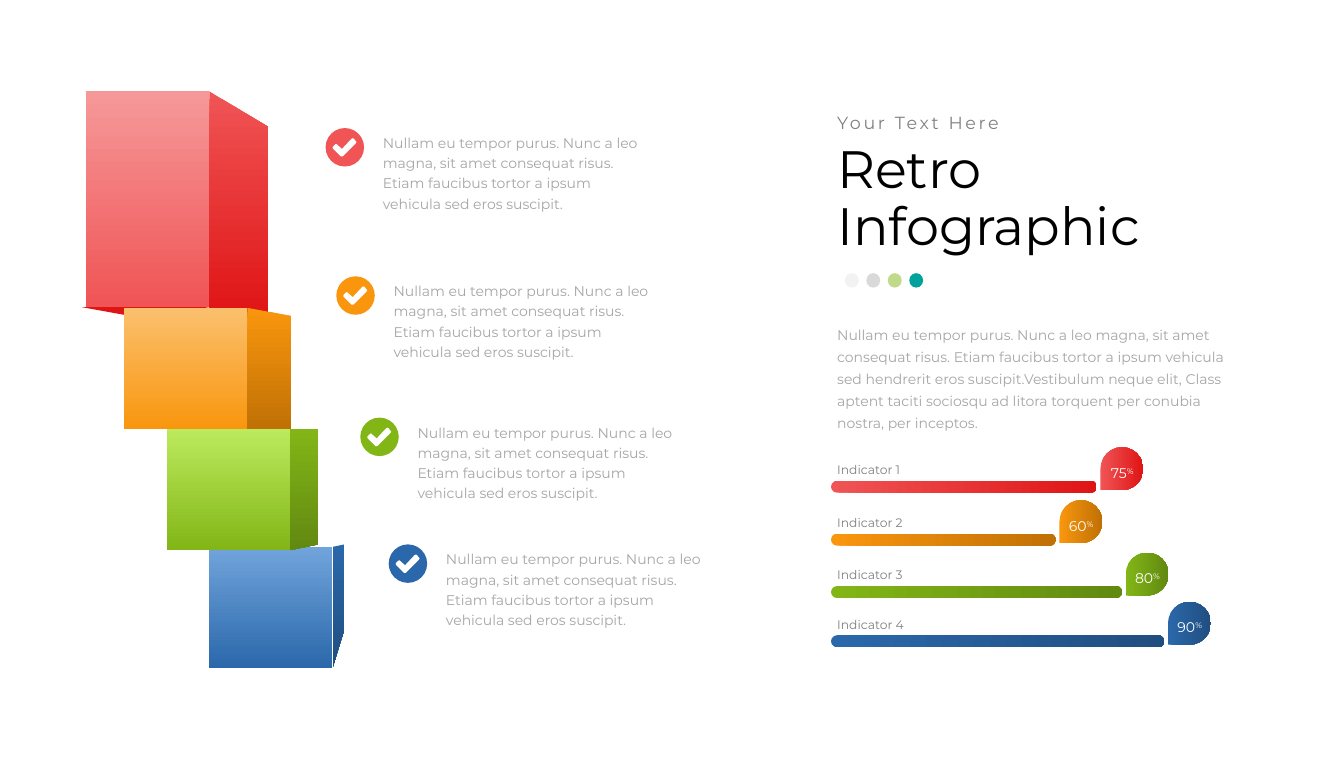
from lxml import etree
from pptx import Presentation, util as u
from pptx.dml.color import RGBColor
from pptx.enum import shapes, text
from pptx.oxml.ns import qn

COLOURS = {
    "red light": "F69899", "red": "F05455", "red dark": "DF1415",
    "orange light": "FBC06E", "orange": "F9960E", "orange dark": "C07105",
    "green light": "BCEA5D", "green": "82B617", "green dark": "628911",
    "blue light": "71A4DB", "blue": "2B68AB", "blue dark": "204E80",
    "teal": "00A39B", "pale grey": "F2F2F2", "light grey": "D9D9D9",
    "body grey": "A6A6A6", "label grey": "808080",
    "black": "000000", "white": "FFFFFF",
}
NOTE = ("Nullam eu tempor purus. Nunc a leo magna, sit amet consequat risus. "
        "Etiam faucibus tortor a ipsum vehicula sed eros suscipit.")
SUMMARY = ("Nullam eu tempor purus. Nunc a leo magna, sit amet consequat risus. "
           "Etiam faucibus tortor a ipsum vehicula sed hendrerit eros "
           "suscipit.Vestibulum neque elit, Class aptent taciti sociosqu ad "
           "litora torquent per conubia nostra, per inceptos.")
KIND = shapes.MSO_SHAPE
Inches = u.Inches


def paint(shape, first, last=None, angle=0):
    """Fill flat with one colour, or with a gradient from first to last."""
    shape.shadow.inherit = False
    shape.line.fill.background()
    if last is None:
        shape.fill.solid()
        shape.fill.fore_color.rgb = RGBColor.from_string(COLOURS[first])
        return
    shape.fill.gradient()
    shape.fill.gradient_angle = angle
    for stop, position, name in zip(shape.fill.gradient_stops, (0, 1), (first, last)):
        stop.position = position
        stop.color.rgb = RGBColor.from_string(COLOURS[name])


def write(left, top, width, height, lines, size, colour, spacing):
    """Add a text box; each line is a list of runs. Return the box."""
    box = slide.shapes.add_textbox(Inches(left), Inches(top), Inches(width), Inches(height))
    box.text_frame.word_wrap = True
    for number, runs in enumerate(lines):
        frame = box.text_frame
        para = frame.add_paragraph() if number else frame.paragraphs[0]
        para.line_spacing = spacing
        for words in runs:
            span = para.add_run()
            span.text = words
            span.font.name = "Montserrat"
            span.font.size = u.Pt(size)
            span.font.color.rgb = RGBColor.from_string(COLOURS[colour])
    return box


deck = Presentation()
deck.slide_width, deck.slide_height = Inches(21.3), Inches(12)
slide = deck.slides.add_slide(deck.slide_layouts[6])

# Stacked blocks: outline, top colour, bottom colour, from back to front
faces = [
    ([(3.32, 1.45), (4.25, 2.01), (4.25, 5.04), (3.32, 4.87)], "red", "red dark"),
    ([(1.36, 1.45), (3.32, 1.45), (3.32, 4.87), (1.36, 4.87)], "red light", "red"),
    ([(1.3, 4.87), (3.26, 4.87), (4.2, 5.04), (2.24, 5.04)], "red dark", None),
    ([(5.27, 8.67), (5.46, 8.63), (5.46, 9.97), (5.27, 10.59)], "blue", "blue dark"),
    ([(3.31, 8.67), (5.27, 8.67), (5.27, 10.59), (3.31, 10.59)], "blue light", "blue"),
    ([(3.92, 4.88), (4.62, 5.01), (4.62, 6.8), (3.92, 6.8)], "orange", "orange dark"),
    ([(1.96, 4.88), (3.92, 4.88), (3.92, 6.8), (1.96, 6.8)], "orange light", "orange"),
    ([(4.6, 6.8), (5.04, 6.8), (5.04, 8.63), (4.6, 8.72)], "green", "green dark"),
    ([(2.64, 6.8), (4.6, 6.8), (4.6, 8.72), (2.64, 8.72)], "green light", "green"),
]
for outline, upper, lower in faces:
    corners = [(Inches(x), Inches(y)) for x, y in outline]
    pen = slide.shapes.build_freeform(*corners[0])
    pen.add_line_segments(corners[1:], close=True)
    paint(pen.convert_to_shape(), upper, lower, angle=270)

# Check marks with notes
tick = [(0.37, 0.08), (0.16, 0.29), (0.13, 0.29), (0.01, 0.17), (0, 0.15),
        (0.01, 0.13), (0.04, 0.1), (0.06, 0.09), (0.07, 0.1), (0.15, 0.17),
        (0.3, 0.01), (0.32, 0), (0.34, 0.01), (0.37, 0.05), (0.38, 0.06)]
for left, top, colour in [(5.16, 2.03, "red"), (5.33, 4.38, "orange"),
                          (5.71, 6.62, "green"), (6.16, 8.63, "blue")]:
    disc = slide.shapes.add_shape(KIND.OVAL, Inches(left), Inches(top), Inches(0.61), Inches(0.61))
    paint(disc, colour)
    corners = [(Inches(left + 0.11 + x), Inches(top + 0.16 + y)) for x, y in tick]
    pen = slide.shapes.build_freeform(*corners[0])
    pen.add_line_segments(corners[1:], close=True)
    paint(pen.convert_to_shape(), "white")
    write(left + 0.81, top, 4.43, 1.39, [[NOTE]], 16, "body grey", 1.2)

# Heading
write(13.17, 2.22, 5.46, 1.97, [["Retro"], ["Infographic"]], 60, "black", 0.9)
kicker = write(13.17, 1.77, 3.14, 0.44, [["Your Text Here"]], 20, "label grey", 0.9)
kicker.text_frame.paragraphs[0].runs[0].font._element.set("spc", "300")

dots = [("pale grey", 100), ("light grey", 98), ("green", 50), ("teal", 100)]
for number, (colour, opacity) in enumerate(dots):
    dot = slide.shapes.add_shape(KIND.OVAL, Inches(13.39 + 0.34 * number), Inches(4.33),
                                 Inches(0.22), Inches(0.23))
    paint(dot, colour)
    if opacity < 100:
        tint = dot._element.spPr.find(qn("a:solidFill")).find(qn("a:srgbClr"))
        etree.SubElement(tint, qn("a:alpha")).set("val", str(opacity * 1000))

# Indicators
indicators = [("75", 7.62, 4.21, "red"), ("60", 8.46, 3.56, "orange"),
              ("80", 9.29, 4.61, "green"), ("90", 10.07, 5.28, "blue")]
for number, (value, top, length, colour) in enumerate(indicators, 1):
    shades = colour, colour + " dark"
    bar = slide.shapes.add_shape(KIND.ROUNDED_RECTANGLE, Inches(13.17), Inches(top),
                                 Inches(length), Inches(0.19))
    bar.adjustments[0] = 0.5
    paint(bar, *shades)
    write(13.17, top - 0.41, 2.18, 0.41, [[f"Indicator {number}"]], 14, "label grey", 1.3)

    drop_left = 13.17 + length + 0.06
    drop = slide.shapes.add_shape(KIND.TEAR, Inches(drop_left), Inches(top - 0.53),
                                  Inches(0.68), Inches(0.68))
    drop.rotation = 180
    paint(drop, *shades, angle=180)
    figure = write(drop_left - 0.03, top - 0.39, 0.75, 0.42, [[value, "%"]], 16, "white", 1.3)
    para = figure.text_frame.paragraphs[0]
    para.alignment = text.PP_ALIGN.CENTER
    para.runs[1].font._element.set("baseline", "30000")

write(13.17, 5.05, 6.41, 1.85, [[SUMMARY]], 16, "body grey", 1.3)

deck.save("out.pptx")
